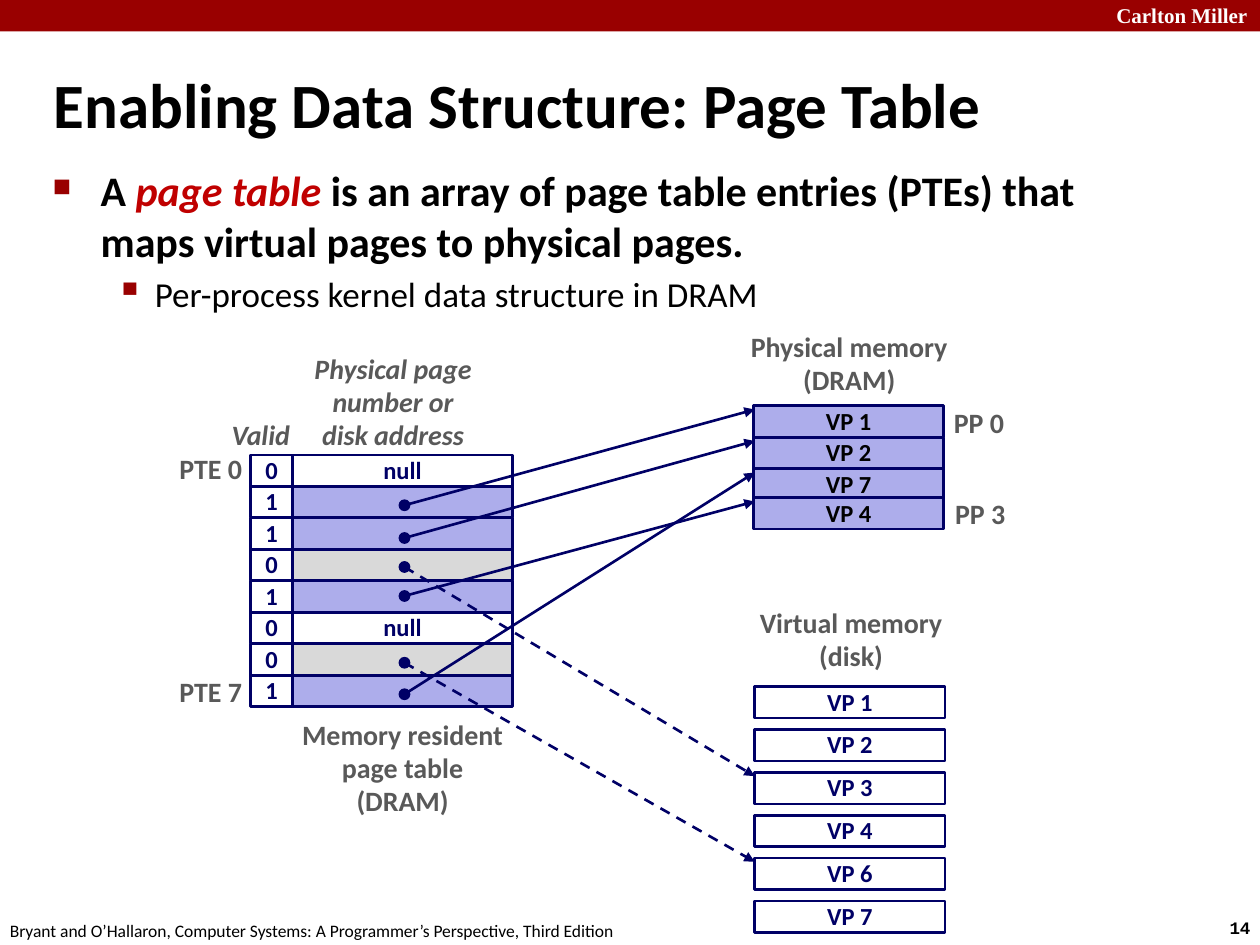
from pptx import Presentation
from pptx.dml.color import RGBColor as RGB
from pptx.enum.dml import MSO_LINE as Dash
from pptx.enum.shapes import MSO_CONNECTOR as Link, MSO_SHAPE as Shape
from pptx.enum.text import MSO_ANCHOR as Anchor, PP_ALIGN as Align
from pptx.oxml.ns import qn
from pptx.util import Inches, Pt
from lxml.etree import SubElement as Sub

HEX = {
    "red": "990000", "term": "C00000", "navy": "000066", "lilac": "ADADEB",
    "gray": "D9D9D9", "label": "595959", "black": "000000", "white": "FFFFFF",
}
BASE = {"name": "Calibri", "size": Pt(16), "bold": True, "italic": False}
CELL = {"size": Pt(14)}
SMALL = {"size": Pt(10), "bold": False}
ROW = 0.25
SPACE = 0.98
TABLE_X, TABLE_Y = 2.32, 3.61
VALID_X, VALID_W = 1.99, 0.33
ENTRY_W, PAGE_W = 1.75, 1.51
DOT, DOT_X = 0.08, 3.17
RAM_X, DISK_X = 5.98, 5.99
RAM = {"VP 1": 3.22, "VP 2": 3.47, "VP 7": 3.72, "VP 4": 3.95}
DISK = {f"VP {n}": 5.45 + 0.34 * i for i, n in enumerate((1, 2, 3, 4, 6, 7))}
ENTRIES = [
    ("0", None, None), ("1", "VP 1", 3.97), ("1", "VP 2", 4.23),
    ("0", "VP 3", 4.46), ("1", "VP 4", 4.69), ("0", None, None),
    ("0", "VP 6", 5.22), ("1", "VP 7", 5.47),
]


def color(key):
    return RGB.from_string(HEX[key])


def box(*at):
    return [Inches(n) for n in at]


def add_run(para, words, ink, form):
    run = para.add_run()
    run.text = words
    for key, value in {**BASE, **form}.items():
        setattr(run.font, key, value)
    run.font.color.rgb = color(ink)


def write(frame, words, ink, form, align=Align.CENTER, space=SPACE):
    for i, line in enumerate(words.split("\n")):
        para = frame.paragraphs[0] if i == 0 else frame.add_paragraph()
        para.alignment = align
        para.line_spacing = space
        add_run(para, line, ink, form)


def add_text(slide, at, words, ink="label", form={}, align=Align.CENTER,
             anchor=Anchor.TOP, space=SPACE):
    frame = slide.shapes.add_textbox(*box(*at)).text_frame
    frame.word_wrap = False
    frame.vertical_anchor = anchor
    write(frame, words, ink, form, align, space)


def add_block(slide, at, fill=None, line="navy", width=1.5, kind=Shape.RECTANGLE,
              words="", ink="navy"):
    block = slide.shapes.add_shape(kind, *box(*at))
    block.shadow.inherit = False
    if fill:
        block.fill.solid()
        block.fill.fore_color.rgb = color(fill)
    else:
        block.fill.background()
    if line:
        block.line.color.rgb = color(line)
        block.line.width = Pt(width)
    else:
        block.line.fill.background()
    if words:
        frame = block.text_frame
        frame.word_wrap = False
        frame.vertical_anchor = Anchor.MIDDLE
        write(frame, words, ink, CELL)


def add_arrow(slide, start, end, dashed):
    link = slide.shapes.add_connector(Link.STRAIGHT, *box(*start, *end))
    link.line.color.rgb = color("navy")
    link.line.width = Pt(1.5)
    if dashed:
        link.line.dash_style = Dash.DASH
    props = link.element.spPr
    Sub(props.find(qn("a:ln")), qn("a:tailEnd"), type="triangle")
    Sub(props, qn("a:effectLst"))


def add_bullet(para, margin, hang, mark, size):
    props = para._p.get_or_add_pPr()
    props.set("marL", str(Inches(margin)))
    props.set("indent", str(-Inches(hang)))
    Sub(Sub(props, qn("a:buClr")), qn("a:srgbClr"), val=HEX["red"])
    Sub(props, qn("a:buSzPct"), val=str(size * 1000))
    Sub(props, qn("a:buChar"), char=mark)


def add_body(slide):
    frame = slide.shapes.add_textbox(*box(0.32, 1.26, 9.09, 1.41)).text_frame
    frame.word_wrap = True
    main, sub = frame.paragraphs[0], frame.add_paragraph()
    sub.level = 1
    main.space_before, sub.space_before = Pt(4.8), Pt(4)
    add_bullet(main, 0.38, 0.38, "■", 60)
    add_bullet(sub, 0.81, 0.31, "▪", 110)
    big = {"size": Pt(24)}
    add_run(main, "A ", "black", big)
    add_run(main, "page table ", "term", {**big, "italic": True})
    add_run(main, "is an array of page table entries (PTEs) that maps virtual "
            "pages to physical pages.", "black", big)
    add_run(sub, "Per-process kernel data structure in DRAM", "black",
            {"size": Pt(20), "bold": False})


def add_frame(slide):
    add_block(slide, (0, 0, 10, 0.25), "red", None)
    add_text(slide, (8.4, -0.03, 1.6, 0.3), "Carlton Miller", "white",
             {"name": "Times New Roman", "size": Pt(12)}, Align.RIGHT, space=1)
    add_text(slide, (9.66, 7.23, 0.45, 0.27), "14", "black",
             {"name": "Courier New", "size": Pt(10)}, Align.LEFT, space=1)
    add_text(slide, (-0.02, 7.25, 5.08, 0.27),
             "Bryant and O’Hallaron, Computer Systems: A Programmer’s "
             "Perspective, Third Edition", "black", SMALL, Align.LEFT, space=1)
    add_text(slide, (0.33, 0.39, 9.06, 0.86),
             "Enabling Data Structure: Page Table", "black",
             {"size": Pt(36)}, Align.LEFT, Anchor.MIDDLE, 1)


def add_table_rows(slide):
    for i, (valid, page, _) in enumerate(ENTRIES):
        top = TABLE_Y + ROW * i
        fill = "lilac" if valid == "1" else "gray" if page else "white"
        add_block(slide, (TABLE_X, top, ENTRY_W, ROW), fill,
                  words="" if page else "null")
        add_block(slide, (VALID_X, top, VALID_W, ROW), words=valid)


def add_pages(slide):
    for name, top in RAM.items():
        add_block(slide, (RAM_X, top, PAGE_W, ROW), "lilac", words=name, ink="black")
    for name, top in DISK.items():
        add_block(slide, (DISK_X, top, PAGE_W, ROW), "white", words=name)


def add_links(slide):
    for valid, page, top in ENTRIES:
        if page:
            goal = (RAM if valid == "1" else DISK)[page]
            add_block(slide, (DOT_X, top, DOT, DOT), "navy", width=1, kind=Shape.OVAL)
            add_arrow(slide, (DOT_X + DOT / 2, top + DOT / 2),
                      (DISK_X, goal + 0.03), valid == "0")


def add_labels(slide):
    slant = {"italic": True}
    add_text(slide, (2.27, 5.66, 1.85, 0.89), "Memory resident\npage table\n(DRAM)")
    add_text(slide, (5.85, 2.58, 1.78, 0.63), "Physical memory\n(DRAM)")
    add_text(slide, (5.91, 4.77, 1.69, 0.63), "Virtual memory\n(disk)")
    add_text(slide, (1.74, 3.28, 0.75, 0.37), "Valid", form=slant, align=Align.LEFT)
    add_text(slide, (2.39, 2.75, 1.46, 0.89),
             "Physical page\nnumber or\ndisk address", form=slant, anchor=Anchor.MIDDLE)
    for words, top in (("PTE 0", 3.54), ("PTE 7", 5.31)):
        add_text(slide, (1.32, top, 0.7, 0.37), words, align=Align.RIGHT,
                 anchor=Anchor.MIDDLE)
    for words, left, top in (("PP 0", 7.47, 3.18), ("PP 3", 7.48, 3.9)):
        add_text(slide, (left, top, 0.6, 0.37), words, anchor=Anchor.MIDDLE)


def main():
    deck = Presentation()
    deck.slide_width, deck.slide_height = box(10, 7.5)
    slide = deck.slides.add_slide(deck.slide_layouts[6])
    add_frame(slide)
    add_body(slide)
    add_table_rows(slide)
    add_pages(slide)
    add_links(slide)
    add_labels(slide)
    deck.save("out.pptx")


if __name__ == "__main__":
    main()
